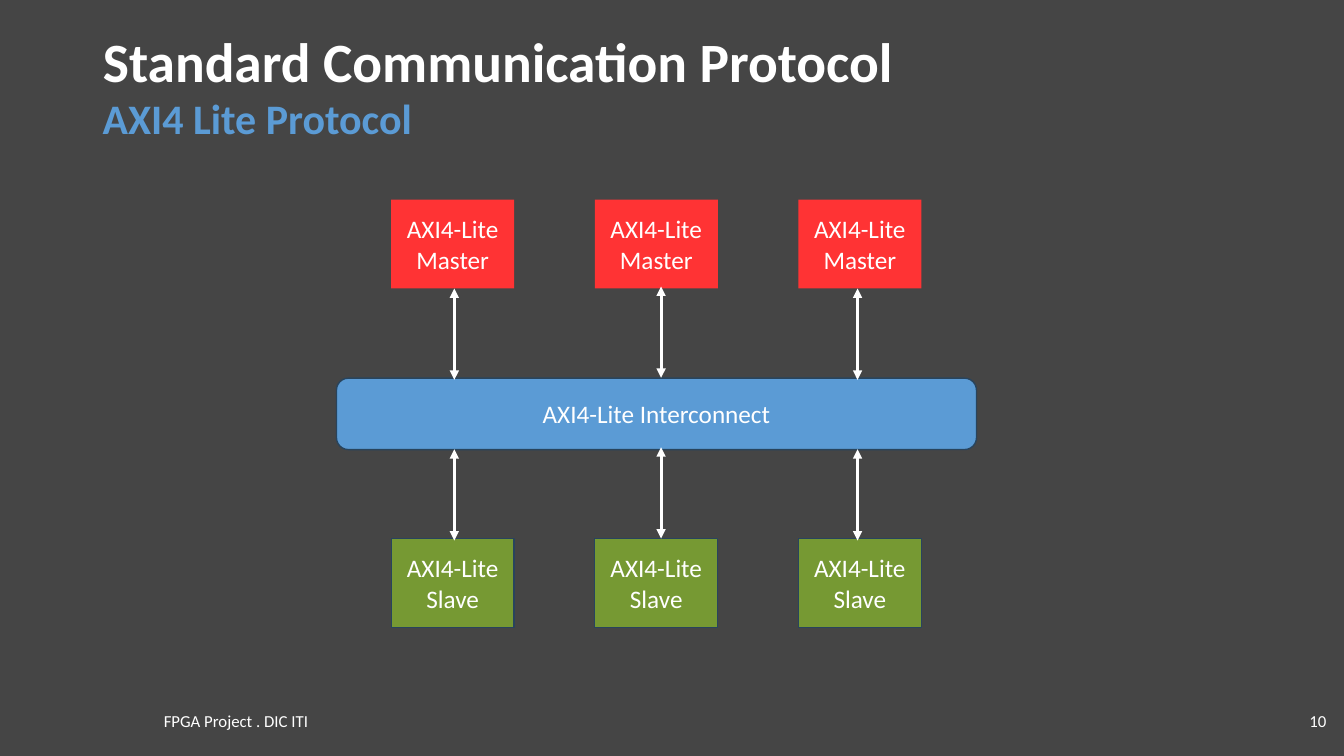
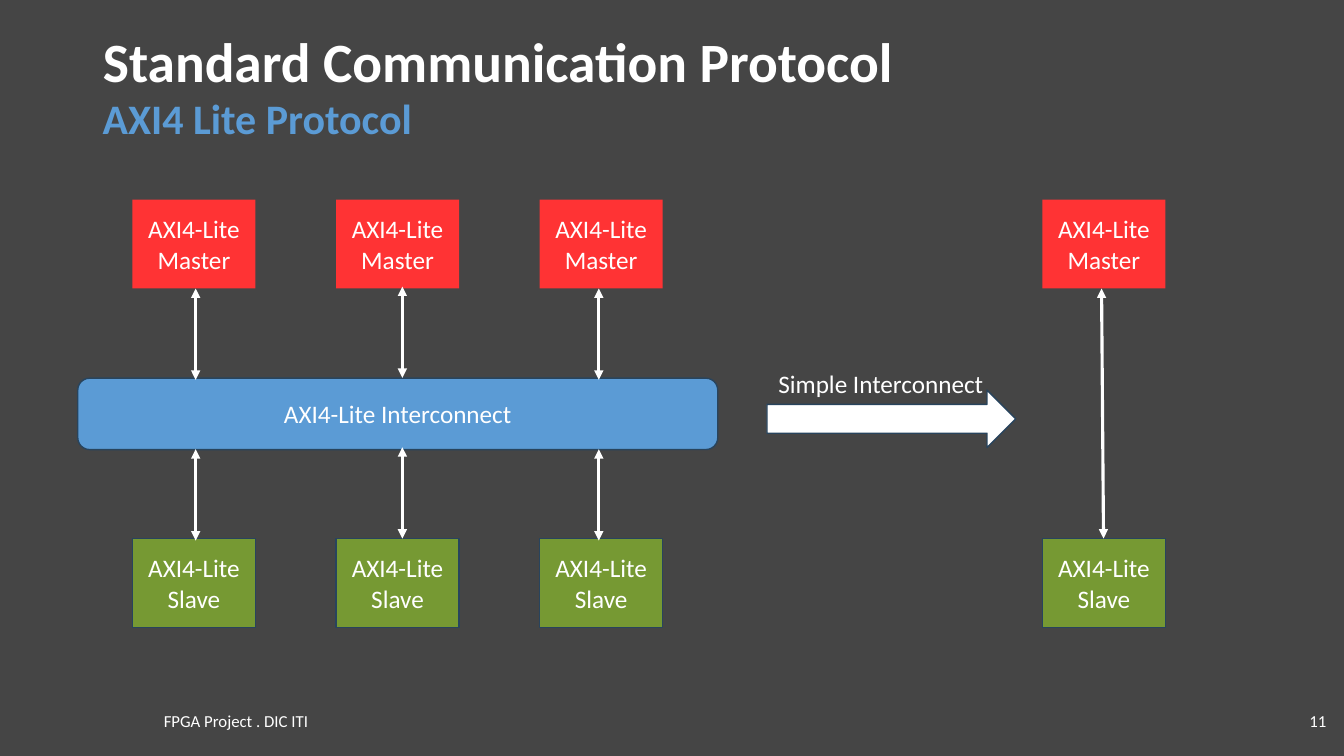
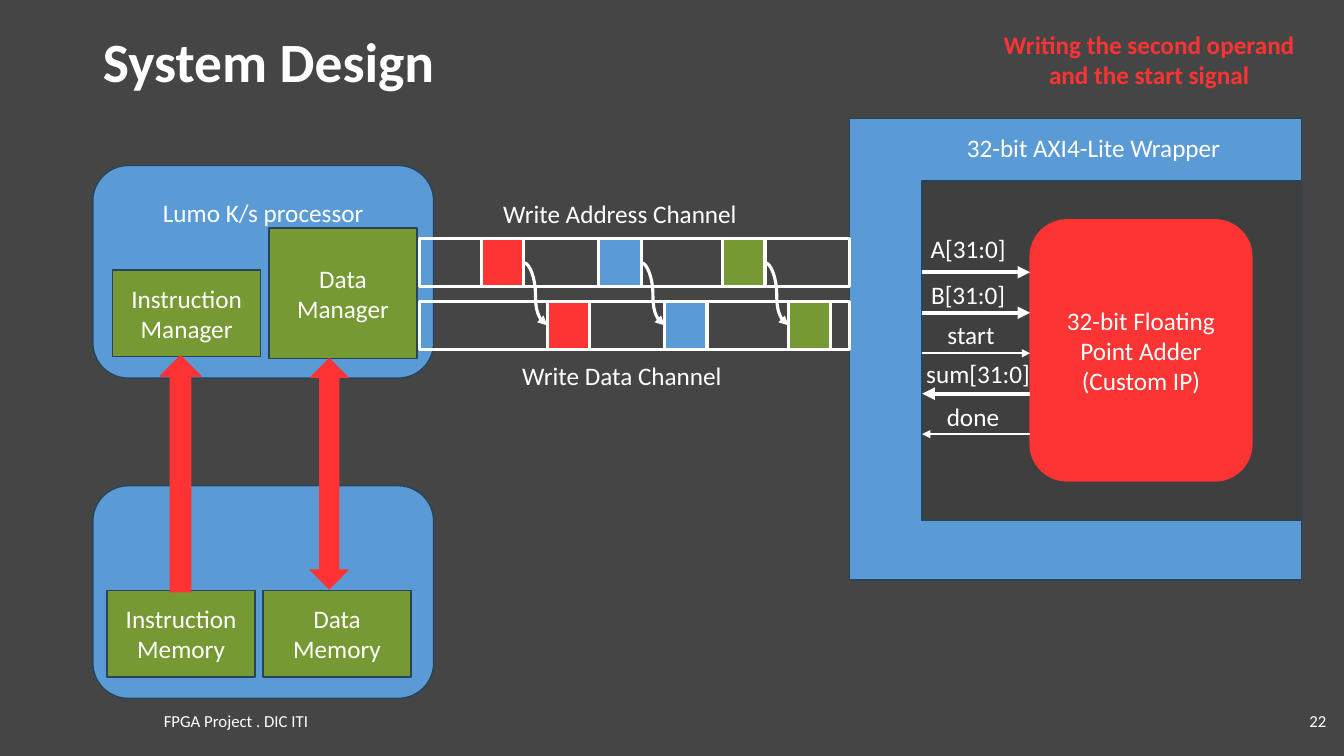
from dataclasses import dataclass
from typing import Optional

from lxml.etree import SubElement
from pptx import Presentation
from pptx.dml.color import RGBColor
from pptx.enum.shapes import MSO_CONNECTOR, MSO_SHAPE
from pptx.enum.text import MSO_ANCHOR, MSO_AUTO_SIZE, PP_ALIGN
from pptx.oxml.ns import qn
from pptx.presentation import Presentation as Deck
from pptx.shapes.autoshape import Shape
from pptx.slide import Slide
from pptx.text.text import TextFrame
from pptx.util import Cm, Pt


@dataclass(frozen=True)
class Theme:
    font: str = "Calibri"
    background: RGBColor = RGBColor(0x45, 0x45, 0x45)
    well: RGBColor = RGBColor(0x3F, 0x3F, 0x3F)
    white: RGBColor = RGBColor(0xFF, 0xFF, 0xFF)
    blue: RGBColor = RGBColor(0x5B, 0x9B, 0xD5)
    navy: RGBColor = RGBColor(0x28, 0x44, 0x5D)
    red: RGBColor = RGBColor(0xFF, 0x33, 0x34)
    soft_red: RGBColor = RGBColor(0xFC, 0x34, 0x34)
    green: RGBColor = RGBColor(0x76, 0x99, 0x33)
    title_size: float = 39.6
    subtitle_size: float = 30
    body_size: float = 18
    footer_size: float = 12
    outline: float = 1
    thin: float = 1.5
    medium: float = 2.25
    thick: float = 3


THEME = Theme()


@dataclass(frozen=True)
class Area:
    left: float
    top: float
    width: float
    height: float

    @property
    def right(self) -> float:
        return self.left + self.width

    @property
    def middle(self) -> float:
        return self.top + self.height / 2


@dataclass(frozen=True)
class Look:
    fill: Optional[RGBColor] = None
    line: Optional[RGBColor] = None
    weight: float = THEME.outline


@dataclass(frozen=True)
class TextStyle:
    size: float = THEME.body_size
    color: RGBColor = THEME.white
    bold: bool = False
    align: PP_ALIGN = PP_ALIGN.CENTER
    anchor: MSO_ANCHOR = MSO_ANCHOR.MIDDLE
    spacing: Optional[float] = None


@dataclass(frozen=True)
class Block:
    text: str
    area: Area


@dataclass(frozen=True)
class Signal:
    label: Block
    weight: float
    inward: bool


BLUE = Look(THEME.blue, THEME.navy)
GREEN = Look(THEME.green, THEME.navy)
RED = Look(THEME.red)
BODY = TextStyle()
CAPTION = TextStyle(anchor=MSO_ANCHOR.TOP)
ALERT = TextStyle(color=THEME.red, bold=True, anchor=MSO_ANCHOR.TOP)
TITLE = TextStyle(THEME.title_size, bold=True, align=PP_ALIGN.LEFT, spacing=0.9)
SUBTITLE = TextStyle(THEME.subtitle_size, THEME.blue, True, PP_ALIGN.LEFT, spacing=0.7)
FOOTER = TextStyle(THEME.footer_size)
PAGE_NUMBER = TextStyle(THEME.footer_size, align=PP_ALIGN.RIGHT)

NODE_WIDTH, NODE_HEIGHT = 3.1, 2.24
MASTER_TOP, SLAVE_TOP = 5.03, 13.57


def write(frame: TextFrame, text: str, style: TextStyle) -> None:
    frame.word_wrap = True
    frame.auto_size = MSO_AUTO_SIZE.NONE
    frame.vertical_anchor = style.anchor
    para = frame.paragraphs[0]
    para.text = text
    para.alignment = style.align
    if style.spacing:
        para.line_spacing = style.spacing
    para.font.name = THEME.font
    para.font.size = Pt(style.size)
    para.font.bold = style.bold
    para.font.color.rgb = style.color


def place(shape: Shape, area: Area) -> None:
    shape.left, shape.top = Cm(area.left), Cm(area.top)
    shape.width, shape.height = Cm(area.width), Cm(area.height)


def add_text(page: Slide, text: str, area: Area, style: TextStyle = CAPTION) -> None:
    box = page.shapes.add_textbox(0, 0, 0, 0)
    place(box, area)
    write(box.text_frame, text, style)


def add_box(page: Slide, area: Area, look: Look, text: str = "",
            kind: MSO_SHAPE = MSO_SHAPE.RECTANGLE, style: TextStyle = BODY) -> Shape:
    box = page.shapes.add_shape(kind, 0, 0, 0, 0)
    place(box, area)
    box.shadow.inherit = False
    if look.fill is None:
        box.fill.background()
    else:
        box.fill.solid()
        box.fill.fore_color.rgb = look.fill
    if look.line is None:
        box.line.fill.background()
    else:
        box.line.color.rgb = look.line
        box.line.width = Pt(look.weight)
    if text:
        write(box.text_frame, text, style)
    return box


def add_arrow(page: Slide, start: tuple[float, float], end: tuple[float, float],
              weight: float = THEME.medium, both_ends: bool = False,
              kind: MSO_CONNECTOR = MSO_CONNECTOR.STRAIGHT) -> None:
    arrow = page.shapes.add_connector(kind, *(Cm(value) for value in (*start, *end)))
    arrow.line.color.rgb = THEME.white
    arrow.line.width = Pt(weight)
    properties = arrow.element.spPr
    line = properties.find(qn("a:ln"))
    for tag in ("a:headEnd", "a:tailEnd") if both_ends else ("a:tailEnd",):
        SubElement(line, qn(tag), type="triangle")
    SubElement(properties, qn("a:effectLst"))


def add_page(deck: Deck, title: str, number: int, subtitle: str = "") -> Slide:
    page = deck.slides.add_slide(deck.slide_layouts.get_by_name("Title Only"))
    place(page.shapes.title, Area(2.34, 1.02, 29.21, 1.22))
    write(page.shapes.title.text_frame, title, TITLE)
    add_text(page, str(number), Area(31.98, 17.65, 1.7, 1.02), PAGE_NUMBER)
    add_text(page, "FPGA Project . DIC ITI", Area(0.97, 17.65, 9.96, 1.02), FOOTER)
    if subtitle:
        add_text(page, subtitle, Area(2.34, 2.51, 29.21, 1.22), SUBTITLE)
    return page


def add_master_and_slave(page: Slide, left: float) -> None:
    for role, top, look in (("Master", MASTER_TOP, RED), ("Slave", SLAVE_TOP, GREEN)):
        add_box(page, Area(left, top, NODE_WIDTH, NODE_HEIGHT), look, f"AXI4-Lite\n{role}")


def add_network(page: Slide, left: float) -> None:
    add_box(page, Area(left, 9.53, 16.13, 1.8), BLUE, "AXI4-Lite Interconnect",
            MSO_SHAPE.ROUNDED_RECTANGLE)
    for column in range(3):
        add_master_and_slave(page, left + 1.38 + column * 5.13)
    for offset, lift in ((2.97, 0), (8.18, 0.05), (13.13, 0)):
        for top in (7.27, 11.32):
            add_arrow(page, (left + offset, top - lift),
                      (left + offset, top - lift + 2.3), both_ends=True)


def add_protocol_page(deck: Deck, number: int, network_left: float) -> Slide:
    page = add_page(deck, "Standard Communication Protocol", number, "AXI4 Lite Protocol")
    add_network(page, network_left)
    return page


def add_simple_interconnect(page: Slide) -> None:
    add_master_and_slave(page, 26.27)
    add_arrow(page, (27.76, MASTER_TOP + NODE_HEIGHT), (27.81, SLAVE_TOP), both_ends=True)
    add_box(page, Area(19.33, 9.83, 6.27, 1.45), Look(THEME.white, THEME.navy),
            kind=MSO_SHAPE.RIGHT_ARROW)
    add_text(page, "Simple Interconnect", Area(17.63, 9.16, 9.14, 1.02))


def add_wrapper(page: Slide) -> None:
    well = Area(23.24, 4.56, 9.56, 8.56)
    adder = Area(25.96, 5.54, 5.59, 6.58)
    signals = (
        Signal(Block("A[31:0]", Area(23.04, 5.75, 2.72, 1.02)), THEME.thick, True),
        Signal(Block("B[31:0]", Area(23.04, 6.91, 2.72, 1.02)), THEME.thick, True),
        Signal(Block("start", Area(23.11, 7.93, 2.72, 1.02)), THEME.thin, True),
        Signal(Block("sum[31:0]", Area(22.91, 8.9, 3.48, 1.02)), THEME.thick, False),
        Signal(Block("done", Area(23.16, 9.98, 2.72, 1.02)), THEME.thin, False),
    )
    add_box(page, Area(21.41, 2.99, 11.39, 11.63), BLUE)
    add_box(page, well, Look(THEME.well, THEME.navy))
    add_text(page, "32-bit AXI4-Lite Wrapper", Area(23.98, 3.2, 7.16, 1.02))
    add_box(page, adder, Look(THEME.soft_red, THEME.red),
            "32-bit Floating Point Adder (Custom IP)", MSO_SHAPE.ROUNDED_RECTANGLE)
    for row, signal in enumerate(signals):
        height = 6.86 + row * 1.02
        outer, inner = (well.left, height), (adder.left, height)
        start, end = (outer, inner) if signal.inward else (inner, outer)
        add_arrow(page, start, end, signal.weight)
        add_text(page, signal.label.text, signal.label.area)


def add_processor_and_memory(page: Slide) -> None:
    processor = add_box(page, Area(2.34, 4.17, 8.59, 5.36), BLUE, "Lumo K/s processor",
                        MSO_SHAPE.ROUNDED_RECTANGLE, CAPTION)
    processor.text_frame.margin_top = Cm(0.53)
    add_box(page, Area(2.34, 12.24, 8.59, 5.36), BLUE, kind=MSO_SHAPE.ROUNDED_RECTANGLE)
    blocks = (
        Block("Instruction\nMemory", Area(2.7, 14.88, 3.73, 2.18)),
        Block("Data\nMemory", Area(6.63, 14.88, 3.73, 2.18)),
        Block("Instruction\nManager", Area(2.84, 6.8, 3.73, 2.18)),
        Block("Data\nManager", Area(6.78, 5.75, 3.73, 3.28)),
    )
    for block in blocks:
        add_box(page, block.area, GREEN, block.text)
    add_box(page, Area(7.79, 9.02, 1.02, 5.84), RED, kind=MSO_SHAPE.UP_DOWN_ARROW)
    add_box(page, Area(4.04, 8.97, 1.02, 5.94), Look(THEME.red, THEME.red),
            kind=MSO_SHAPE.UP_ARROW)


def add_channels(page: Slide) -> None:
    address_top, data_top, height = 6.01, 7.59, 1.22
    for top in (address_top, data_top):
        add_box(page, Area(10.58, top, 10.82, height),
                Look(line=THEME.white, weight=THEME.medium))
    transfers = ((12.13, THEME.soft_red), (15.09, THEME.blue), (18.21, THEME.green))
    for left, color in transfers:
        address = Area(left, address_top, 1.07, height)
        data = Area(left + 1.66, data_top, 1.07, height)
        for area in (address, data):
            add_box(page, area, Look(color, THEME.white, THEME.medium))
        add_arrow(page, (address.right, address.middle), (data.left, data.middle),
                  kind=MSO_CONNECTOR.CURVE)
    add_text(page, "Write Address Channel", Area(11.51, 4.88, 8.23, 1.02))
    add_text(page, "Write Data Channel", Area(11.56, 8.96, 8.23, 1.02))


def add_system_page(deck: Deck, number: int) -> None:
    page = add_page(deck, "System Design", number)
    add_wrapper(page)
    add_processor_and_memory(page)
    add_channels(page)
    add_text(page, "Writing the second operand and the start signal",
             Area(24.49, 0.61, 8.94, 1.8), ALERT)


def main() -> None:
    deck = Presentation()
    deck.slide_width, deck.slide_height = Cm(33.87), Cm(19.05)
    backdrop = deck.slide_master.background.fill
    backdrop.solid()
    backdrop.fore_color.rgb = THEME.background
    add_protocol_page(deck, 10, 8.48)
    add_simple_interconnect(add_protocol_page(deck, 11, 1.96))
    add_system_page(deck, 22)
    deck.save("out.pptx")


if __name__ == "__main__":
    main()
